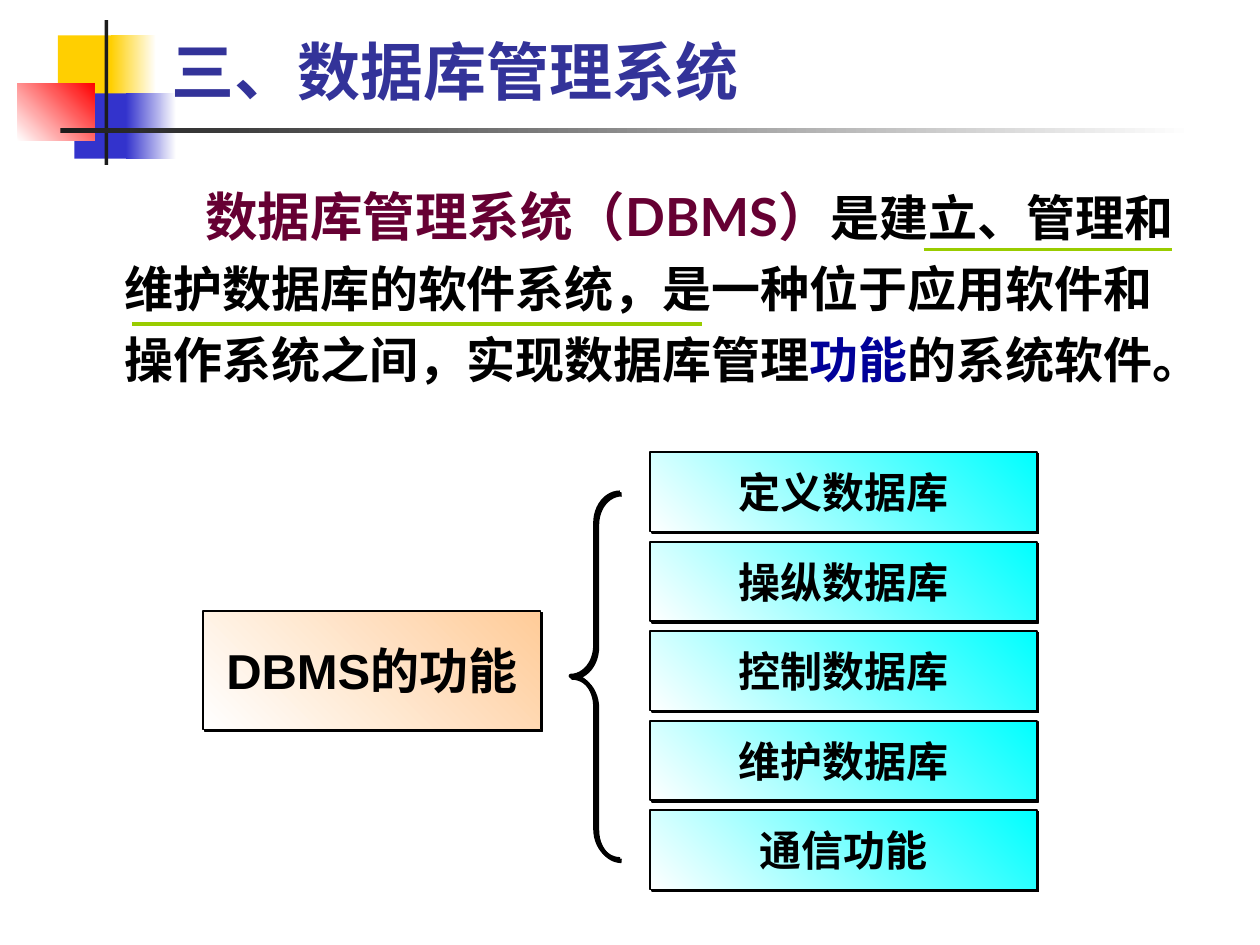
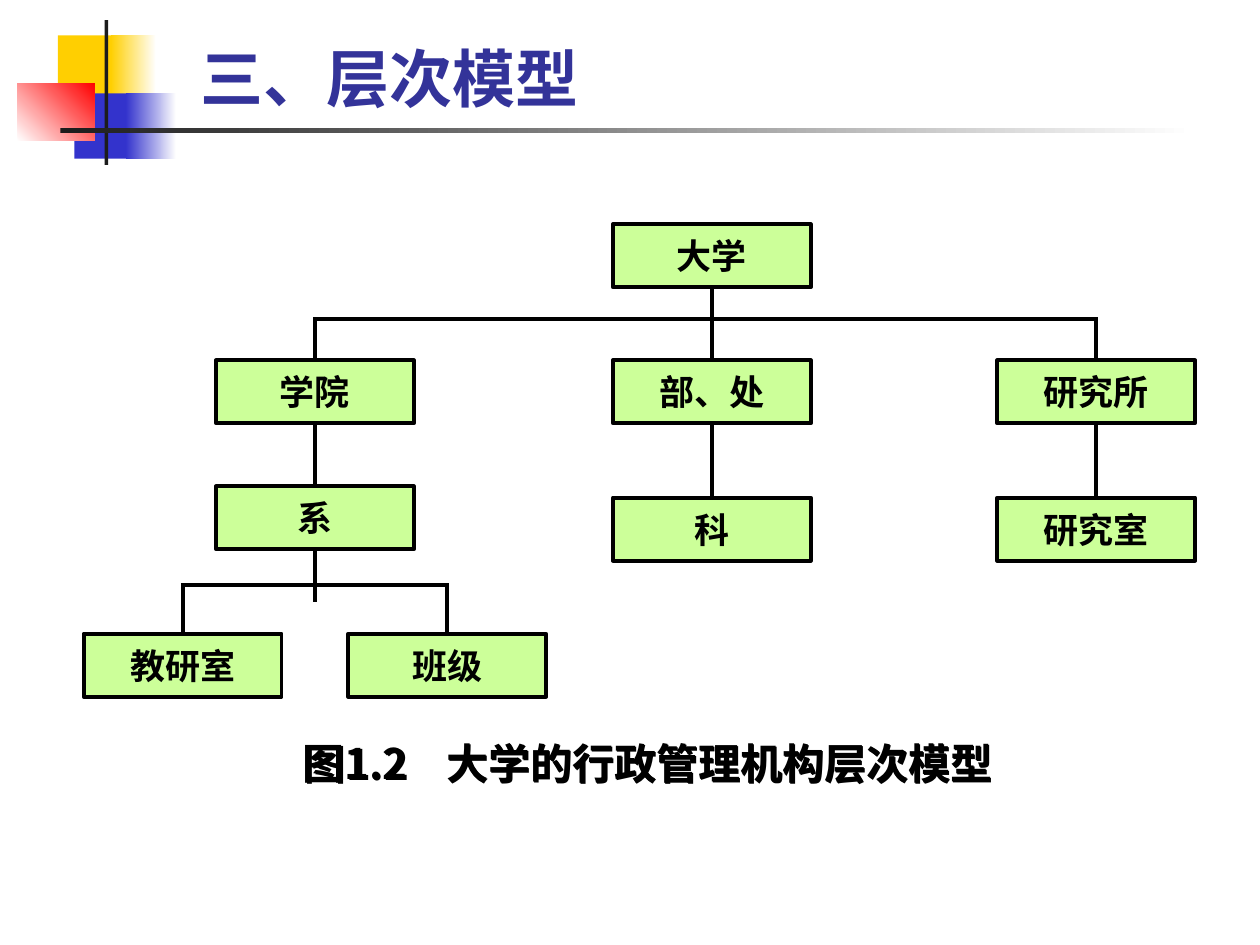
from lxml.etree import SubElement
from pptx import Presentation
from pptx.dml.color import RGBColor
from pptx.enum.shapes import MSO_CONNECTOR, MSO_SHAPE
from pptx.enum.text import MSO_ANCHOR, PP_ALIGN
from pptx.oxml.ns import qn
from pptx.util import Inches, Pt

# Shared style
HUE = {
    "ink": "000000", "white": "FFFFFF", "title": "333399", "wine": "660033",
    "navy": "000099", "gold": "FFCF01", "blue": "3333CC", "red": "FF0000",
    "dark": "1C1C1C", "lime": "99CC00", "peach": "FFCC99", "cyan": "00FFFF",
    "mint": "CCFF99",
}
CJK = "Noto Sans CJK SC"

# Corner ornament: left, top, width, height, fill (a pair is a gradient), angle
DECOR = [
    (0.46, 0.28, 0.48, 0.52, "gold", 0),
    (0.88, 0.28, 0.36, 0.52, ("gold", "white"), 0),
    (0.59, 0.74, 0.46, 0.52, "blue", 0),
    (1.0, 0.74, 0.4, 0.52, ("blue", "white"), 0),
    (0.14, 0.66, 0.61, 0.46, ("white", "red"), 45),
    (0.83, 0.16, 0.03, 1.15, "dark", 0),
    (0.48, 1.02, 9, 0.04, ("dark", "white"), 0),
]

# Slide 1: definition and functions
INTRO = [
    ("数据库管理系统（DBMS）", 30, "wine"),
    ("是建立、管理和维护数据库的软件系统，是一种位于应用软件和操作系统之间，"
     "实现数据库管理", 28, "ink"),
    ("功能", 28, "navy"),
    ("的系统软件。", 28, "ink"),
]
MARKS = [(7.33, 9.3, 1.98), (1.05, 5.57, 2.57)]
TASKS = ["定义数据库", "操纵数据库", "控制数据库", "维护数据库", "通信功能"]
TASK_TOP, TASK_STEP = 3.59, 0.71

# Slide 2: the tree, name -> centre x and top
NODES = {
    "大学": (5.65, 1.78),
    "学院": (2.5, 2.86), "部、处": (5.65, 2.86), "研究所": (8.7, 2.86),
    "系": (2.5, 3.86), "科": (5.65, 3.95), "研究室": (8.7, 3.95),
    "教研室": (1.45, 5.03), "班级": (3.55, 5.03),
}
NODE_W, NODE_H = 1.57, 0.5
STEMS = [("大学", "部、处"), ("学院", "系"), ("部、处", "科"), ("研究所", "研究室")]
FORKS = [("学院", "研究所", 2.53), ("教研室", "班级", 4.64)]
STUB = ("系", 4.78)


def rgb(name):
    return RGBColor.from_string(HUE[name])


def inch(*nums):
    return [Inches(n) for n in nums]


def style(run, size, hue="ink", face="Arial"):
    font = run.font
    font.size, font.bold, font.name = Pt(size), True, face
    font.color.rgb = rgb(hue)
    SubElement(font._element, qn("a:ea")).set("typeface", CJK)


def paint(shape, fill, angle=45):
    if isinstance(fill, str):
        shape.fill.solid()
        shape.fill.fore_color.rgb = rgb(fill)
        return
    shape.fill.gradient()
    shape.fill.gradient_angle = angle
    for stop, hue in zip(shape.fill.gradient_stops, fill):
        stop.color.rgb = rgb(hue)


def shade(shape):
    """Hard black shadow to the lower right."""
    shape.shadow.inherit = False
    effects = shape._element.spPr.find(qn("a:effectLst"))
    drop = SubElement(effects, qn("a:outerShdw"), dist=str(Pt(1.4)),
                      dir="2700000", algn="ctr", rotWithShape="0")
    SubElement(drop, qn("a:srgbClr"), val=HUE["ink"])


def block(slide, at, fill, angle=45, line=0, kind=MSO_SHAPE.RECTANGLE):
    shape = slide.shapes.add_shape(kind, *inch(*at))
    shape.shadow.inherit = False
    if fill:
        paint(shape, fill, angle)
    else:
        shape.fill.background()
    if line:
        shape.line.width = Pt(line)
        shape.line.color.rgb = rgb("ink")
    else:
        shape.line.fill.background()
    return shape


def label(shape, text, size):
    frame = shape.text_frame
    frame.text = text
    frame.vertical_anchor = MSO_ANCHOR.MIDDLE
    para = frame.paragraphs[0]
    para.alignment = PP_ALIGN.CENTER
    style(para.runs[0], size)


def rule(slide, x1, y1, x2, y2, hue="ink"):
    line = slide.shapes.add_connector(MSO_CONNECTOR.STRAIGHT, *inch(x1, y1, x2, y2))
    line.line.width = Pt(2.25)
    line.line.color.rgb = rgb(hue)
    SubElement(line._element.spPr, qn("a:effectLst"))


def write(slide, at, anchor=MSO_ANCHOR.TOP):
    box = slide.shapes.add_textbox(*inch(*at))
    box.text_frame.word_wrap = True
    box.text_frame.vertical_anchor = anchor
    return box, box.text_frame.paragraphs[0]


def start(deck, title, left, top):
    slide = deck.slides.add_slide(deck.slide_layouts[6])
    for *at, fill, angle in DECOR:
        block(slide, at, fill, angle)
    box, para = write(slide, (left, top, 8.52, 0.68), MSO_ANCHOR.BOTTOM)
    para.text = title
    style(para.runs[0], 36, "title", "Lato")
    return slide


def system(deck):
    slide = start(deck, "三、数据库管理系统", 1.26, 0.23)

    # Definition with underlined phrases
    box, para = write(slide, (0.51, 1.31, 8.98, 5.84))
    para.line_spacing, para.space_before = 1.2, Pt(7)
    props = para._p.get_or_add_pPr()
    props.set("marL", str(Inches(0.38)))
    props.set("indent", str(Inches(0.64)))
    for text, size, hue in INTRO:
        run = para.add_run()
        run.text = text
        style(run, size, hue, "Lato")
    for x1, x2, y in MARKS:
        rule(slide, x1, y, x2, y, "lime")

    # Root box, brace and list of functions
    root = block(slide, (1.61, 4.85, 2.68, 0.94), ("white", "peach"), line=1)
    shade(root)
    label(root, "DBMS的功能", 28)
    brace = block(slide, (4.53, 3.91, 0.39, 2.91), None, line=2.5,
                  kind=MSO_SHAPE.LEFT_BRACE)
    brace.adjustments[0] = 0.62
    shade(brace)
    for row, task in enumerate(TASKS):
        at = (5.16, TASK_TOP + row * TASK_STEP, 3.07, 0.63)
        item = block(slide, at, ("white", "cyan"), line=1)
        shade(item)
        label(item, task, 24)


def tree(deck):
    slide = start(deck, "三、层次模型", 1.49, 0.28)

    # Nodes
    for name, (mid, top) in NODES.items():
        at = (mid - NODE_W / 2, top, NODE_W, NODE_H)
        node = block(slide, at, "mint", line=2.25)
        label(node, name, 20)
        frame = node.text_frame
        frame.word_wrap = False
        frame.margin_left = frame.margin_right = 0

    # Links: stems, then forks with a bar and two drops
    for upper, lower in STEMS:
        x, y = NODES[upper]
        rule(slide, x, y + NODE_H, x, NODES[lower][1])
    for first, last, bar in FORKS:
        (x1, y), (x2, _) = NODES[first], NODES[last]
        rule(slide, x1 - 0.015, bar, x2 + 0.015, bar)
        for x in (x1, x2):
            rule(slide, x, bar, x, y)
    name, end = STUB
    x, y = NODES[name]
    rule(slide, x, y + NODE_H, x, end)

    # Caption
    box, para = write(slide, (2.4, 5.8, 6.29, 0.5), MSO_ANCHOR.MIDDLE)
    box.text_frame.margin_left = box.text_frame.margin_right = 0
    para.text = "图1.2\t大学的行政管理机构层次模型"
    para.space_before = Pt(15)
    tabs = SubElement(para._p.get_or_add_pPr(), qn("a:tabLst"))
    SubElement(tabs, qn("a:tab"), pos=str(Inches(1.14)), algn="l")
    for run in para.runs:
        style(run, 24, face=CJK)
    box.fill.background()
    effects = SubElement(box._element.spPr, qn("a:effectLst"))
    drop = SubElement(effects, qn("a:outerShdw"), dist=str(Pt(1.4)), dir="2700000")
    SubElement(drop, qn("a:srgbClr"), val=HUE["ink"])


def main():
    deck = Presentation()
    deck.slide_width, deck.slide_height = inch(10, 7.5)
    system(deck)
    tree(deck)
    deck.save("out.pptx")


if __name__ == "__main__":
    main()
